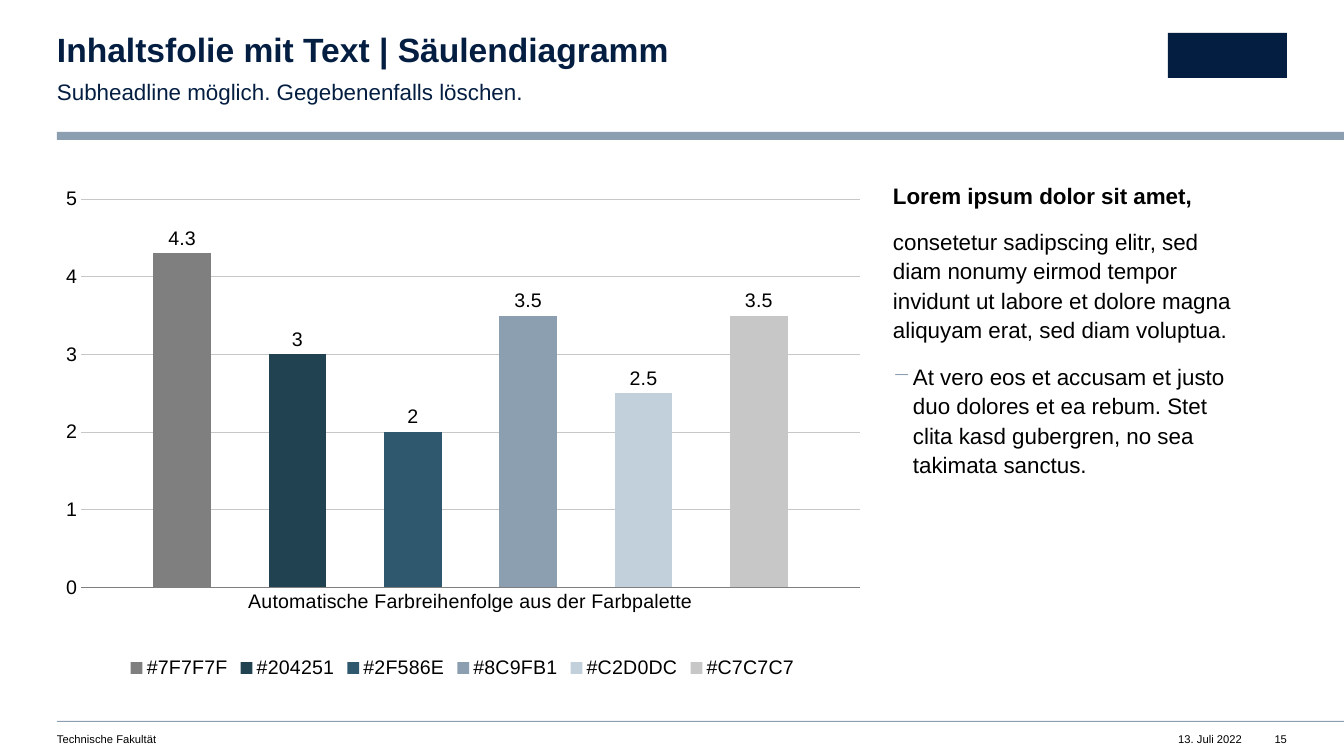
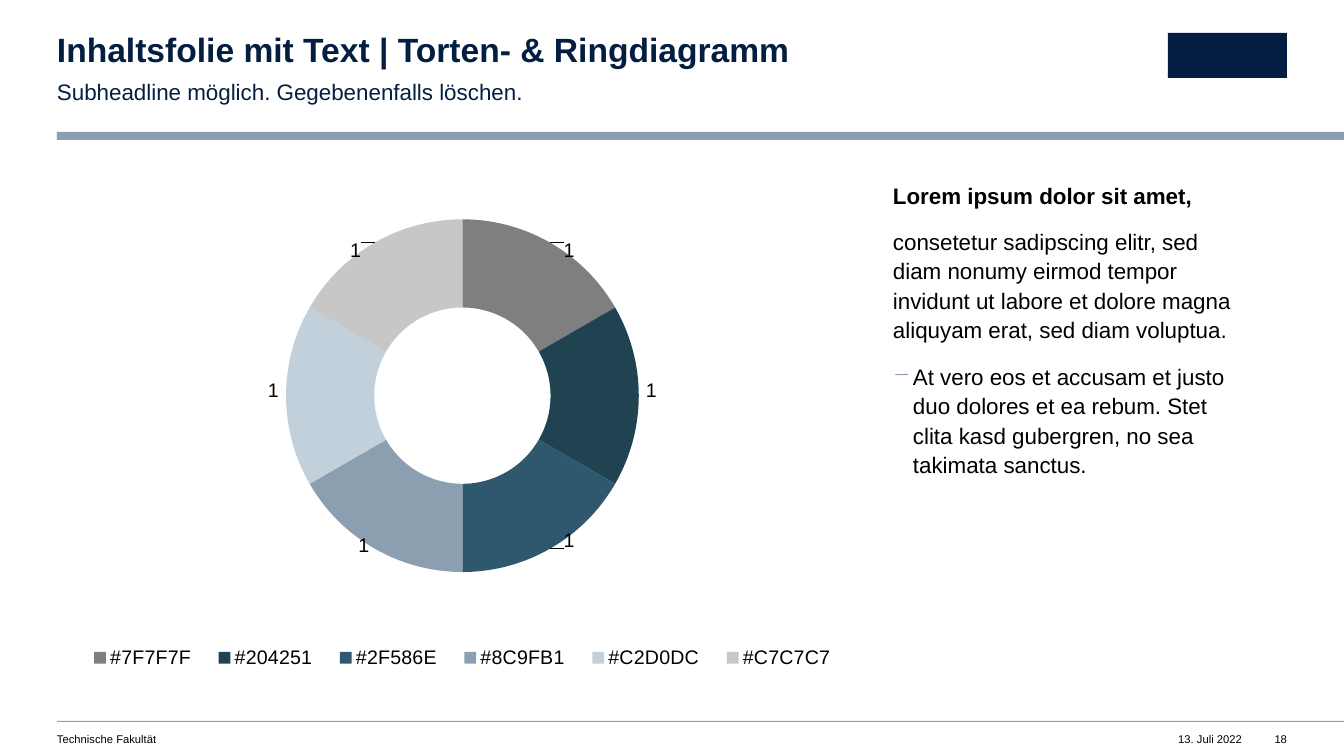
import lxml.etree
import pptx
import pptx.chart.data
import pptx.dml.color
import pptx.enum.chart
import pptx.enum.shapes
import pptx.enum.text
import pptx.oxml.ns
import pptx.util

SCALE = 914400 / 100.8
FONT = "Arial"
NAVY, STEEL, BLACK = "041E42", "8C9FB1", "000000"
AXIS_GRAY, GRID_GRAY = "7F7F7F", "C7C7C7"
PALETTE = ("7F7F7F", "204251", "2F586E", "8C9FB1", "C2D0DC", "C7C7C7")
LABELS = [f"#{tone}" for tone in PALETTE]

PAGE_SIZE = (1344, 756)
TITLE_BOX = (57, 33, 755, 36)
SUBHEAD_BOX = (57, 76, 755, 27)
LOGO_BOX = (1168, 33, 119, 45)
BAND_BOX = (57, 132, 1287, 8)
RULE_BOX = (57, 721, 1287, 1)
CHART_BOX = (57, 179, 811, 504)
BODY_BOX = (893, 179, 394, 504)
FACULTY_BOX = (57, 732, 603, 13)
DATE_BOX = (1148, 732, 94, 13)
NUMBER_BOX = (1266, 732, 21, 13)

TITLE_STYLE = {"size": 24, "color": NAVY, "bold": True, "line_spacing": 0.9}
SUBHEAD_STYLE = {"size": 16, "color": NAVY, "line_spacing": 1.1}
BODY_STYLE = {"size": 16, "line_spacing": 1.1, "space_after": pptx.util.Pt(12)}
FOOTER_STYLE = {"size": 8}
RIGHT_FOOTER_STYLE = {"size": 8, "alignment": pptx.enum.text.PP_ALIGN.RIGHT}

BODY_TEXTS = (
    ("Lorem ipsum dolor sit amet,", {"bold": True}),
    ("consetetur sadipscing elitr, sed diam nonumy eirmod tempor invidunt ut "
     "labore et dolore magna aliquyam erat, sed diam voluptua.", {}),
    ("At vero eos et accusam et justo duo dolores et ea rebum. Stet clita kasd "
     "gubergren, no sea takimata sanctus.", {"level": 1}),
)
COLUMN_VALUES = (4.3, 3, 2, 3.5, 2.5, 3.5)
RING_VALUES = (1, 1, 1, 1, 1, 1)
RING_LABEL_SHIFTS = ((0.05, -0.06), (0.07, -0.01), (0.05, 0.06),
                     (-0.04, 0.07), (-0.07, -0.01), (-0.05, -0.06))


def px(length):
    """Turn px into EMU."""
    return pptx.util.Emu(round(length * SCALE))


def place(box):
    """Turn a px box into EMU."""
    return [px(length) for length in box]


def rgb(color):
    """Turn a hex string into a colour."""
    return pptx.dml.color.RGBColor.from_string(color)


def apply(target, values):
    """Set attributes of an object from a dict."""
    for name, value in values.items():
        setattr(target, name, value)


def style_font(font, size, color=BLACK, bold=False):
    """Set typeface, size, weight and colour of a font."""
    apply(font, {"name": FONT, "size": pptx.util.Pt(size), "bold": bold})
    font.color.rgb = rgb(color)


def paint(part, color):
    """Give a shape or chart part a solid fill."""
    part.fill.solid()
    part.fill.fore_color.rgb = rgb(color)


def add_block(page, box, color):
    """Add a plain filled rectangle."""
    block = page.shapes.add_shape(
        pptx.enum.shapes.MSO_SHAPE.RECTANGLE, *place(box))
    block.shadow.inherit = False
    paint(block, color)
    block.line.fill.background()


def add_bullet(para, color, indent):
    """Give a paragraph a hanging coloured dash."""
    properties = para._p.get_or_add_pPr()
    properties.set("marL", str(px(indent)))
    properties.set("indent", str(-px(indent)))
    tint = lxml.etree.SubElement(properties, pptx.oxml.ns.qn("a:buClr"))
    lxml.etree.SubElement(tint, pptx.oxml.ns.qn("a:srgbClr"), val=color)
    lxml.etree.SubElement(properties, pptx.oxml.ns.qn("a:buChar"), char="−")


def add_text(page, box, texts, style, right_inset=0):
    """Add a text box with one paragraph for each text and its own style."""
    frame = page.shapes.add_textbox(*place(box)).text_frame
    apply(frame, {"word_wrap": True, "margin_left": 0, "margin_top": 0,
                  "margin_right": px(right_inset), "margin_bottom": 0})
    for index, (text, extra) in enumerate(texts):
        para = frame.add_paragraph() if index else frame.paragraphs[0]
        values = {**style, **extra}
        font_values = {name: values.pop(name)
                       for name in ("size", "color", "bold") if name in values}
        apply(para, values)
        span = para.add_run()
        span.text = text
        style_font(span.font, **font_values)
        if para.level:
            add_bullet(para, STEEL, 20)


def make_layout(inner=False, **fractions):
    """Build a manual chart layout from fractions of the chart."""
    layout = lxml.etree.Element(pptx.oxml.ns.qn("c:layout"))
    manual = lxml.etree.SubElement(layout, pptx.oxml.ns.qn("c:manualLayout"))
    values = {"layoutTarget": "inner", "xMode": "edge", "yMode": "edge"} if inner else {}
    for name, value in {**values, **fractions}.items():
        lxml.etree.SubElement(
            manual, pptx.oxml.ns.qn(f"c:{name}"), val=str(value))
    return layout


def add_chart(page, box, kind, categories, series, plot_area):
    """Add a chart with a bottom legend and a fixed plot area."""
    data = pptx.chart.data.CategoryChartData()
    data.categories = categories
    for name, values in series:
        data.add_series(name, values)
    chart = page.shapes.add_chart(kind, *place(box), data).chart
    apply(chart, {"has_title": False, "has_legend": True})
    style_font(chart.font, 14)
    apply(chart.legend, {
        "position": pptx.enum.chart.XL_LEGEND_POSITION.BOTTOM,
        "include_in_layout": False})
    style_font(chart.legend.font, 14)
    area = chart.element.xpath("c:chart/c:plotArea")[0]
    for old in area.xpath("c:layout"):
        area.remove(old)
    area.insert(0, make_layout(True, **dict(zip("xywh", plot_area))))
    return chart


def style_line(line, color):
    """Set a thin line."""
    line.color.rgb = rgb(color)
    line.width = pptx.util.Pt(0.5)


def add_column_chart(page, box):
    """Add the column chart, one series for each palette colour."""
    chart = add_chart(
        page, box, pptx.enum.chart.XL_CHART_TYPE.COLUMN_CLUSTERED,
        ["Automatische Farbreihenfolge aus der Farbpalette"],
        [(name, [value]) for name, value in zip(LABELS, COLUMN_VALUES)],
        (0.03, 0.04, 0.96, 0.77))
    plot = chart.plots[0]
    apply(plot, {"gap_width": 250, "overlap": -100, "vary_by_categories": False})
    for series, color in zip(plot.series, PALETTE):
        paint(series.format, color)
        apply(series.data_labels, {
            "show_value": True,
            "position": pptx.enum.chart.XL_LABEL_POSITION.OUTSIDE_END})
        style_font(series.data_labels.font, 14)
    for axis in (chart.category_axis, chart.value_axis):
        axis.major_tick_mark = pptx.enum.chart.XL_TICK_MARK.NONE
        axis.minor_tick_mark = pptx.enum.chart.XL_TICK_MARK.NONE
        style_font(axis.tick_labels.font, 14)
    style_line(chart.category_axis.format.line, AXIS_GRAY)
    apply(chart.value_axis, {"minimum_scale": 0, "maximum_scale": 5,
                             "major_unit": 1, "has_major_gridlines": True})
    chart.value_axis.format.line.fill.background()
    style_line(chart.value_axis.major_gridlines.format.line, GRID_GRAY)


def add_ring_chart(page, box):
    """Add the ring chart with its values moved to the outer edge."""
    chart = add_chart(
        page, box, pptx.enum.chart.XL_CHART_TYPE.DOUGHNUT, LABELS,
        [("Series 1", RING_VALUES)], (0.21, 0.08, 0.58, 0.7))
    series = chart.plots[0].series[0]
    series.data_labels.show_value = True
    style_font(series.data_labels.font, 14)
    for index, color in enumerate(PALETTE):
        point = series.points[index]
        paint(point.format, color)
        point.format.line.fill.background()
        style_font(point.data_label.font, 14)
    anchors = chart.element.xpath(".//c:dLbl/c:idx")
    for anchor, (x, y) in zip(anchors, RING_LABEL_SHIFTS):
        anchor.addnext(make_layout(x=x, y=y))
    chart.element.xpath(".//c:holeSize")[0].set("val", "80")
    legend = chart.element.xpath(".//c:legend")[0]
    for old in legend.xpath("c:layout"):
        legend.remove(old)
    legend.xpath("c:legendPos")[0].addnext(
        make_layout(xMode="edge", yMode="edge", x=0.02, y=0.92, w=0.96, h=0.06))


def add_header(page, title):
    """Add the title, subheadline, logo block and band."""
    add_text(page, TITLE_BOX, [(title, {})], TITLE_STYLE)
    add_text(page, SUBHEAD_BOX,
             [("Subheadline möglich. Gegebenenfalls löschen.", {})],
             SUBHEAD_STYLE, 39)
    add_block(page, LOGO_BOX, NAVY)
    add_block(page, BAND_BOX, STEEL)


def add_footer(page, number):
    """Add the rule, faculty, date and page number."""
    add_block(page, RULE_BOX, STEEL)
    add_text(page, FACULTY_BOX, [("Technische Fakultät", {})], FOOTER_STYLE)
    add_text(page, DATE_BOX, [("13. Juli 2022", {})], RIGHT_FOOTER_STYLE)
    add_text(page, NUMBER_BOX, [(number, {})], RIGHT_FOOTER_STYLE)


def add_chart_page(deck, title, number, draw_chart):
    """Add a slide with a chart on the left and text on the right."""
    page = deck.slides.add_slide(deck.slide_layouts[6])
    add_header(page, title)
    draw_chart(page, CHART_BOX)
    add_text(page, BODY_BOX, BODY_TEXTS, BODY_STYLE, 39)
    add_footer(page, number)


def main():
    """Build and save the deck."""
    deck = pptx.Presentation()
    deck.slide_width, deck.slide_height = place(PAGE_SIZE)
    add_chart_page(deck, "Inhaltsfolie mit Text | Säulendiagramm", "15",
                   add_column_chart)
    add_chart_page(deck, "Inhaltsfolie mit Text | Torten- & Ringdiagramm", "18",
                   add_ring_chart)
    deck.save("out.pptx")


if __name__ == "__main__":
    main()
